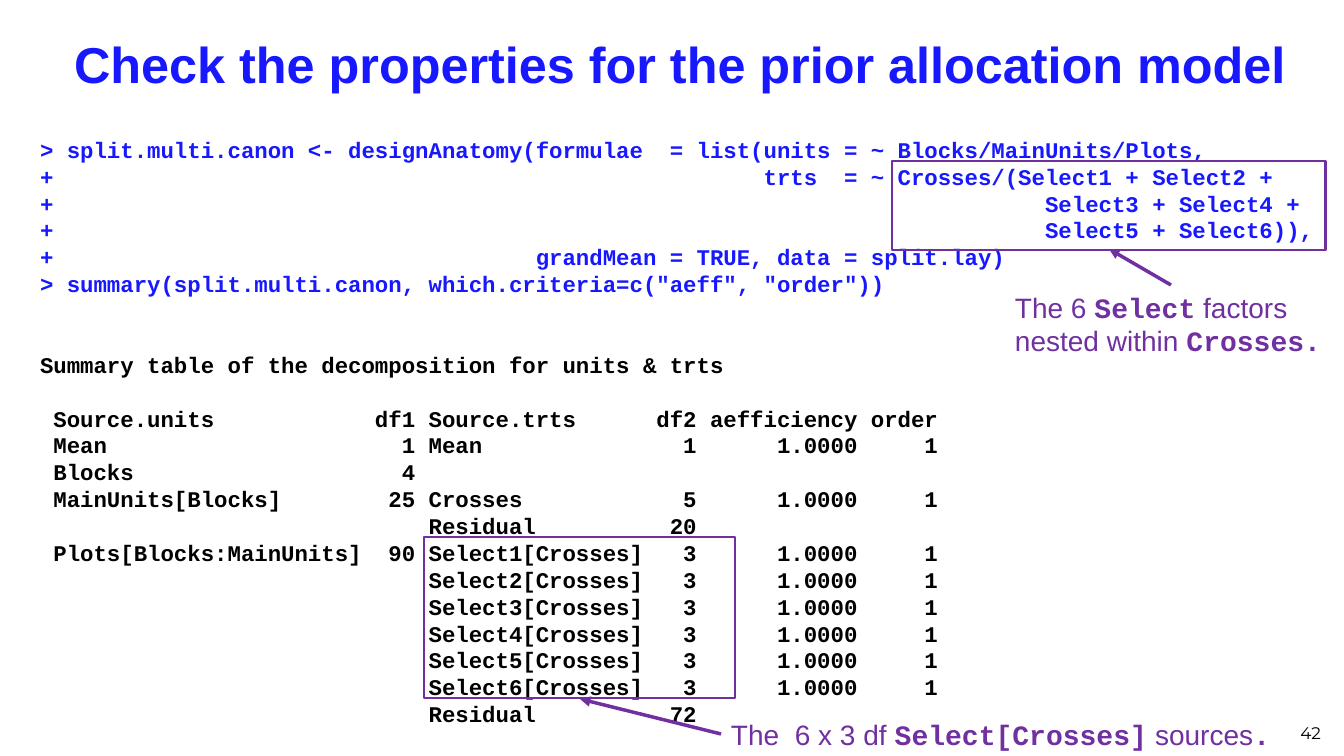
from pptx import Presentation
from pptx.dml.color import RGBColor
from pptx.enum.shapes import MSO_CONNECTOR, MSO_SHAPE
from pptx.enum.text import MSO_ANCHOR, MSO_AUTO_SIZE, PP_ALIGN
from pptx.oxml.ns import qn
from pptx.util import Emu, Pt
from lxml import etree

LEFT, RIGHT = PP_ALIGN.LEFT, PP_ALIGN.RIGHT
TOP, MIDDLE, BOTTOM = MSO_ANCHOR.TOP, MSO_ANCHOR.MIDDLE, MSO_ANCHOR.BOTTOM
NO_FIT = MSO_AUTO_SIZE.NONE
RECT, STRAIGHT = MSO_SHAPE.RECTANGLE, MSO_CONNECTOR.STRAIGHT

# Content
TITLE = "Check the properties for the prior allocation model"
PAGE = "42"
CODE = """\
> split.multi.canon <- designAnatomy(formulae  = list(units = ~ Blocks/MainUnits/Plots,
+                                                     trts  = ~ Crosses/(Select1 + Select2 +
+                                                                          Select3 + Select4 +
+                                                                          Select5 + Select6)),
+                                    grandMean = TRUE, data = split.lay)
> summary(split.multi.canon, which.criteria=c("aeff", "order"))""".split("\n")
HEADING = ["Summary table of the decomposition for units & trts"]
ANATOMY = """\
 Source.units            df1 Source.trts      df2 aefficiency order
 Mean                      1 Mean               1      1.0000     1
 Blocks                    4
 MainUnits[Blocks]        25 Crosses            5      1.0000     1
                             Residual          20
 Plots[Blocks:MainUnits]  90 Select1[Crosses]   3      1.0000     1
                             Select2[Crosses]   3      1.0000     1
                             Select3[Crosses]   3      1.0000     1
                             Select4[Crosses]   3      1.0000     1
                             Select5[Crosses]   3      1.0000     1
                             Select6[Crosses]   3      1.0000     1
                             Residual          72""".split("\n")

BLUE, BLACK, PURPLE = "1818FF", "000000", "7030A0"
LINE_PT = 19.2
# lines, colour, empty lines above
LISTING = [(CODE, BLUE, 0), (HEADING, BLACK, 2), (ANATOMY, BLACK, 1)]

TITLE_FONT = {"name": "Arial", "size": Pt(36), "bold": True}
CODE_FONT = {"name": "Courier New", "size": Pt(16), "bold": True}
PAGE_FONT = {"name": "Montserrat", "size": Pt(12), "bold": False}
NOTE_FONT = {"name": "Arial", "size": Pt(20), "bold": False}
NOTE_CODE = {"name": "Courier New", "size": Pt(20), "bold": True}

# Each callout: frame box, arrow (from, to), note box, note runs (plain and code alternate)
CALLOUTS = [
    ((892, 161, 434, 89), (1171, 285, 1109, 249), (1005, 285, 332, 78),
     ["The 6 ", "Select", " factors nested within ", "Crosses."]),
    ((424, 537, 311, 161), (721, 734, 580, 699), (721, 712, 561, 44),
     ["The  6 x 3 df ", "Select[Crosses]", " sources", "."]),
]


def px(n):
    return Emu(round(n * 914400 / 100.8))


def rgb(value):
    return RGBColor.from_string(value)


def add_run(p, text, font, color):
    r = p.add_run()
    r.text = text
    for name, value in font.items():
        setattr(r.font, name, value)
    r.font.color.rgb = rgb(color)


def set_frame(s, anchor, top=5):
    tf = s.text_frame
    tf.word_wrap = True
    tf.auto_size = NO_FIT
    tf.vertical_anchor = anchor
    tf.margin_left = tf.margin_right = px(10)
    tf.margin_top, tf.margin_bottom = px(top), px(5)
    return tf


def place(s, box):
    s.left, s.top, s.width, s.height = map(px, box)


def add_text(box, anchor):
    return set_frame(slide.shapes.add_textbox(*map(px, box)), anchor)


prs = Presentation()
prs.slide_width, prs.slide_height = px(1344), px(756)
slide = prs.slides.add_slide(prs.slide_layouts[1])
title, body = slide.placeholders

# Title
place(title, (64, 23, 1270, 80))
p = set_frame(title, MIDDLE).paragraphs[0]
p.alignment = LEFT
add_run(p, TITLE, TITLE_FONT, BLUE)

# Code and its output
place(body, (30, 128, 1314, 622))
tf = set_frame(body, TOP, top=8)
for lines, color, gap in LISTING:
    for i, line in enumerate(lines):
        p = tf.paragraphs[0] if lines is CODE and i == 0 else tf.add_paragraph()
        pPr = p._p.get_or_add_pPr()
        pPr.set("marL", "0")
        pPr.set("indent", "0")
        etree.SubElement(pPr, qn("a:buNone"))
        p.alignment = LEFT
        p.line_spacing = Pt(LINE_PT)
        p.space_before = Pt(LINE_PT * gap if i == 0 else 0)
        add_run(p, line, CODE_FONT, color)

# Page number
p = add_text((1018, 698, 313, 50), BOTTOM).paragraphs[0]
p.alignment = RIGHT
add_run(p, PAGE, PAGE_FONT, BLACK)

# Callouts
for frame_box, arrow_ends, note_box, runs in CALLOUTS:
    arrow = slide.shapes.add_connector(STRAIGHT, *map(px, arrow_ends))
    arrow.line.color.rgb = rgb(PURPLE)
    arrow.line.width = Pt(2.5)
    etree.SubElement(arrow.line._get_or_add_ln(), qn("a:tailEnd"), type="triangle")
    etree.SubElement(arrow._element.spPr, qn("a:effectLst"))

    p = add_text(note_box, TOP).paragraphs[0]
    for i, text in enumerate(runs):
        add_run(p, text, NOTE_CODE if i % 2 else NOTE_FONT, PURPLE)

    frame = slide.shapes.add_shape(RECT, *map(px, frame_box))
    frame.shadow.inherit = False
    frame.fill.background()
    frame.line.color.rgb = rgb(PURPLE)
    frame.line.width = Pt(2)

prs.save("out.pptx")
